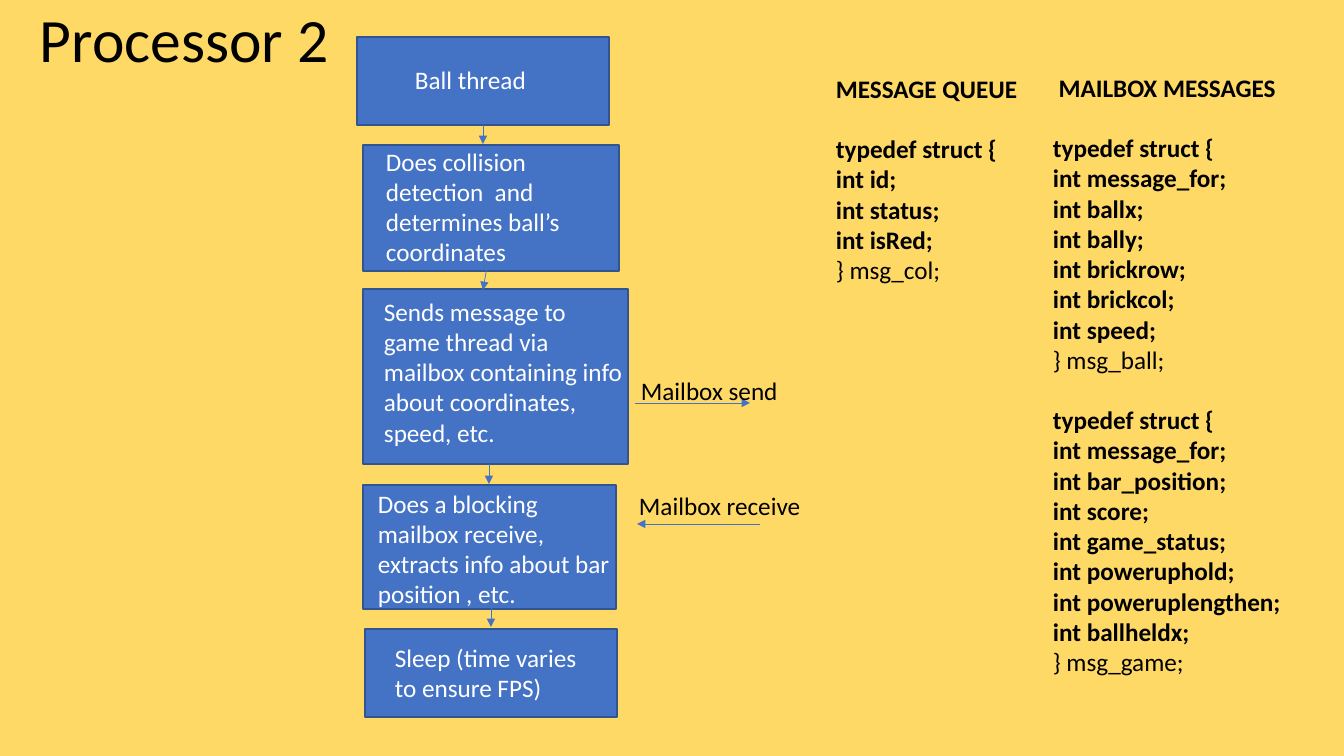
"""Build the Processor 2 slide: ball thread flow and message structures."""
from typing import NamedTuple

from lxml.etree import SubElement
from pptx import Presentation
from pptx.dml.color import RGBColor
from pptx.enum.shapes import MSO_CONNECTOR, MSO_SHAPE
from pptx.enum.text import MSO_ANCHOR, MSO_AUTO_SIZE
from pptx.oxml.ns import qn
from pptx.util import Emu, Pt

EMU_PER_PX = 12192000 / 1344
BLUE, EDGE, WHITE, BLACK, YELLOW = "4472C4", "325491", "FFFFFF", "000000", "FFD966"
BODY = {"name": "Calibri", "size": Pt(18)}
TITLE = {"name": "Calibri", "size": Pt(44)}
GROWING = {"word_wrap": True, "auto_size": MSO_AUTO_SIZE.SHAPE_TO_FIT_TEXT}
CENTRED = {"word_wrap": True, "vertical_anchor": MSO_ANCHOR.MIDDLE}
STRUCT_GAP = {"space_before": Pt(21.6)}


class Box(NamedTuple):
    left: int
    top: int
    width: int
    height: int


class Step(NamedTuple):
    box: Box
    label: Box
    text: str


class Label(NamedTuple):
    box: Box
    text: str


class Arrow(NamedTuple):
    x1: int
    y1: int
    x2: int
    y2: int


class Struct(NamedTuple):
    name: str
    fields: list[str]


class Listing(NamedTuple):
    box: Box
    heading: str
    structs: list[Struct]


STEPS = [
    Step(Box(357, 37, 252, 88), Box(405, 59, 179, 40), "Ball thread"),
    Step(Box(363, 145, 256, 126), Box(376, 141, 245, 132),
         "Does collision detection  and determines ball’s coordinates"),
    Step(Box(363, 289, 265, 175), Box(374, 291, 261, 163),
         "Sends message to game thread via mailbox containing info about coordinates, speed, etc."),
    Step(Box(363, 485, 253, 124), Box(368, 483, 254, 132),
         "Does a blocking mailbox receive, extracts info about bar position , etc."),
    Step(Box(365, 629, 252, 88), Box(385, 637, 221, 72), "Sleep (time varies to ensure FPS)"),
]
ARROWS = [
    Arrow(483, 125, 483, 144), Arrow(487, 267, 483, 290),
    Arrow(489, 464, 489, 484), Arrow(491, 607, 491, 627),
    Arrow(635, 403, 750, 403), Arrow(760, 524, 637, 524),
]
LABELS = [
    Label(Box(631, 370, 261, 40), "Mailbox send"),
    Label(Box(629, 485, 261, 40), "Mailbox receive"),
]
LISTINGS = [
    Listing(Box(826, 68, 325, 254), "MESSAGE QUEUE",
            [Struct("msg_col", ["id", "status", "isRed"])]),
    Listing(Box(1043, 67, 325, 621), " MAILBOX MESSAGES", [
        Struct("msg_ball", ["message_for", "ballx", "bally", "brickrow", "brickcol", "speed"]),
        Struct("msg_game", ["message_for", "bar_position", "score", "game_status",
                            "poweruphold", "poweruplengthen", "ballheldx"]),
    ]),
]


def px(*lengths: int) -> list[Emu]:
    return [Emu(round(n * EMU_PER_PX)) for n in lengths]


def rgb(value: str) -> RGBColor:
    return RGBColor.from_string(value)


def assign(target, values: dict) -> None:
    for name, value in values.items():
        setattr(target, name, value)


def add_run(p, text: str, color: str, font: dict) -> None:
    r = p.add_run()
    r.text = text
    assign(r.font, font)
    r.font.color.rgb = rgb(color)


def add_text(s, box: Box, text: str, color: str, font: dict = BODY, frame: dict = GROWING):
    tf = s.shapes.add_textbox(*px(*box)).text_frame
    assign(tf, frame)
    add_run(tf.paragraphs[0], text, color, font)
    return tf


def add_step(s, step: Step) -> None:
    sp = s.shapes.add_shape(MSO_SHAPE.RECTANGLE, *px(*step.box))
    sp.shadow.inherit = False
    sp.fill.solid()
    sp.fill.fore_color.rgb = rgb(BLUE)
    sp.line.color.rgb = rgb(EDGE)
    sp.line.width = Pt(1)
    add_text(s, step.label, step.text, WHITE)


def add_arrow(s, arrow: Arrow) -> None:
    cxn = s.shapes.add_connector(MSO_CONNECTOR.STRAIGHT, *px(*arrow))
    cxn.line.color.rgb = rgb(BLUE)
    cxn.line.width = Pt(0.5)
    SubElement(cxn.line._get_or_add_ln(), qn("a:tailEnd"), type="triangle")
    SubElement(cxn._element.spPr, qn("a:effectLst"))


def add_listing(s, listing: Listing) -> None:
    bold = BODY | {"bold": True}
    tf = add_text(s, listing.box, listing.heading, BLACK, bold)
    for struct in listing.structs:
        p = tf.add_paragraph()
        assign(p, STRUCT_GAP)
        add_run(p, "typedef struct {", BLACK, bold)
        for field in struct.fields:
            add_run(tf.add_paragraph(), f"int {field};", BLACK, bold)
        add_run(tf.add_paragraph(), f"}} {struct.name};", BLACK, BODY)


def main() -> None:
    prs = Presentation()
    prs.slide_width, prs.slide_height = px(1344, 756)
    s = prs.slides.add_slide(prs.slide_layouts[6])
    s.background.fill.solid()
    s.background.fill.fore_color.rgb = rgb(YELLOW)
    tf = add_text(s, Box(30, -30, 1159, 146), "Processor 2", BLACK, TITLE, CENTRED)
    tf.paragraphs[0].line_spacing = 0.9
    for step in STEPS:
        add_step(s, step)
    for arrow in ARROWS:
        add_arrow(s, arrow)
    for label in LABELS:
        add_text(s, label.box, label.text, BLACK)
    for listing in LISTINGS:
        add_listing(s, listing)
    prs.save("out.pptx")


main()
